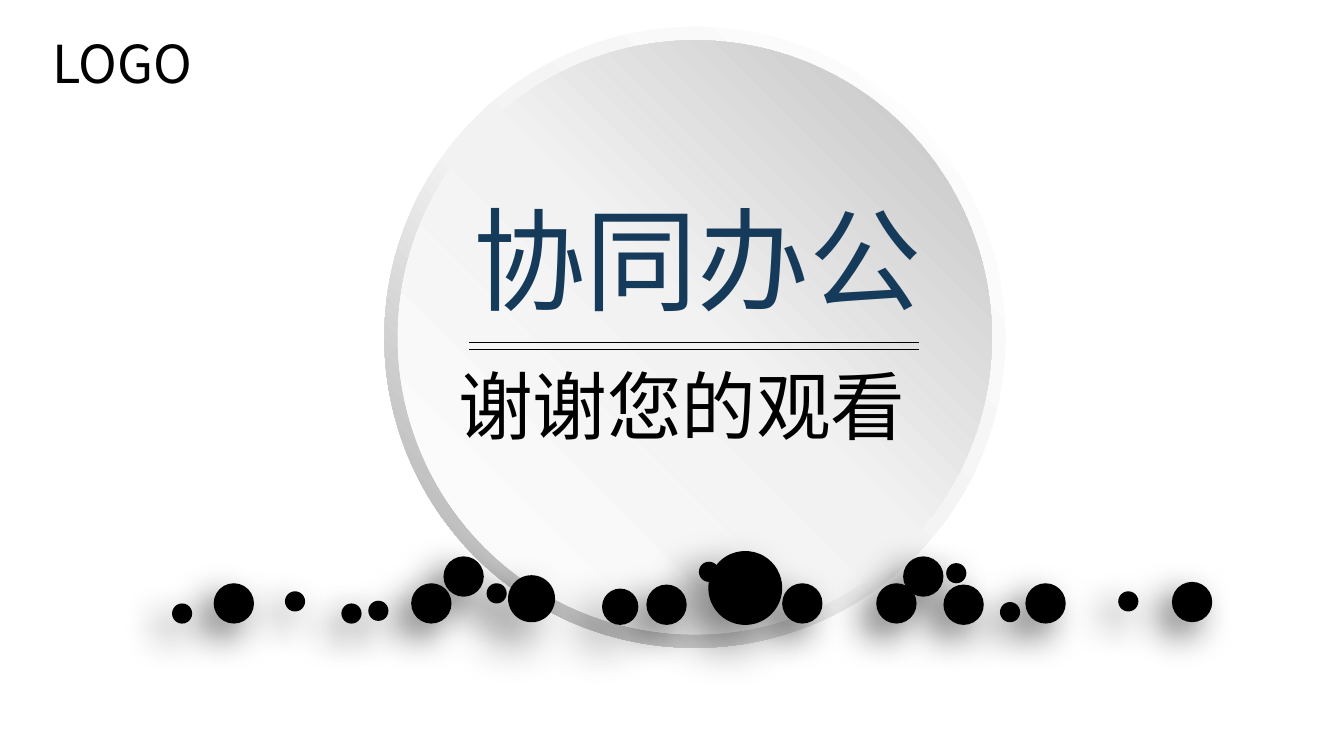
"""Build the closing slide: a title on a shaded disc above a row of black dots."""
from lxml import etree
from pptx import Presentation
from pptx import util as u
from pptx.dml.color import RGBColor
from pptx.enum import shapes, text
from pptx.oxml import parse_xml
from pptx.oxml.ns import nsdecls, qn

FONT = "Noto Sans CJK SC"
BLACK, NAVY = "000000", "163A5A"


def color(value):
    return RGBColor.from_string(value)


def write(box, bounds, words, size, ink):
    box.left, box.top, box.width, box.height = [u.Inches(v) for v in bounds]
    frame = box.text_frame
    frame.word_wrap = False
    frame.margin_right = 0
    frame.auto_size = text.MSO_AUTO_SIZE.SHAPE_TO_FIT_TEXT
    frame.vertical_anchor = text.MSO_ANCHOR.TOP
    para = frame.paragraphs[0]
    para.alignment = text.PP_ALIGN.LEFT
    para.line_spacing = 1.0
    span = para.add_run()
    span.text = words
    span.font.size = u.Pt(size)
    span.font.name = FONT
    span.font.color.rgb = color(ink)
    etree.SubElement(span.font._element, qn("a:ea"), typeface=FONT)


deck = Presentation()
deck.slide_width = u.Inches(10)
deck.slide_height = deck.slide_width * 9 // 16
page = deck.slides.add_slide(deck.slide_layouts[5])
page.background.fill.solid()
page.background.fill.fore_color.rgb = color("FFFFFF")

disc = page.shapes.add_group_shape()
for kind, left, top, size, angle, stops in [
    (shapes.MSO_SHAPE.DONUT, 2.86, 0.2, 4.62, 135, [(0, "FFFFFF"), (55, "F2F2F2"), (100, "A6A6A6")]),
    (shapes.MSO_SHAPE.OVAL, 2.96, 0.3, 4.42, 315, [(0, "FFFFFF"), (51, "F2F2F2"), (100, "BFBFBF")]),
]:
    round_part = disc.shapes.add_shape(kind, u.Inches(left), u.Inches(top), u.Inches(size), u.Inches(size))
    if kind == shapes.MSO_SHAPE.DONUT:
        round_part.adjustments[0] = 0.05
    round_part.shadow.inherit = False
    round_part.line.fill.background()
    marks = "".join(
        f'<a:gs pos="{pos * 1000}"><a:srgbClr val="{shade}"/></a:gs>' for pos, shade in stops
    )
    gradient = parse_xml(
        f'<a:gradFill {nsdecls("a")} rotWithShape="1"><a:gsLst>{marks}</a:gsLst>'
        f'<a:lin ang="{angle * 60000}" scaled="0"/></a:gradFill>'
    )
    round_part._element.spPr.find(qn("a:prstGeom")).addnext(gradient)

write(page.shapes.add_textbox(0, 0, 0, 0), (3.31, 2.63, 3.57, 0.77), "谢谢您的观看", 40, BLACK)

for height in (2.55, 2.6):
    rule = page.shapes.add_connector(
        shapes.MSO_CONNECTOR.STRAIGHT, u.Inches(3.49), u.Inches(height), u.Inches(6.84), u.Inches(height)
    )
    rule.line.color.rgb = color(BLACK)
    rule.line.width = u.Pt(0.75)
    etree.SubElement(rule._element.spPr, qn("a:effectLst"))

title = page.shapes.title
write(title, (3.42, 1.37, 3.53, 1.1), "协同办公", 60, NAVY)
page.shapes._spTree.append(title._element)

dots = [
    (5.27, 4.1, 0.55), (6.52, 4.34, 0.3), (3.06, 4.34, 0.3), (2.74, 4.47, 0.15),
    (7.02, 4.35, 0.3), (3.62, 4.34, 0.15), (7.44, 4.48, 0.15), (4.48, 4.38, 0.27),
    (7.63, 4.34, 0.3), (4.81, 4.35, 0.3), (8.32, 4.4, 0.15), (6.72, 4.14, 0.3),
    (2.54, 4.49, 0.15), (5.2, 4.18, 0.15), (3.78, 4.28, 0.35), (5.82, 4.34, 0.3),
    (1.59, 4.34, 0.3), (1.28, 4.49, 0.15), (3.3, 4.14, 0.3), (2.12, 4.4, 0.15),
    (7.04, 4.19, 0.15), (8.72, 4.33, 0.3),
]
soft_sizes = (0.27, 0.35, 0.55)
for left, top, size in dots:
    dot = page.shapes.add_shape(
        shapes.MSO_SHAPE.OVAL, u.Inches(left), u.Inches(top), u.Inches(size), u.Inches(size)
    )
    dot.fill.solid()
    dot.fill.fore_color.rgb = color(BLACK)
    dot.line.fill.background()
    dot.shadow.inherit = False
    alpha, blur, distance = (50, 25, 15) if size in soft_sizes else (60, 20, 10)
    dot._element.spPr.find(qn("a:effectLst")).append(parse_xml(
        f'<a:outerShdw {nsdecls("a")} blurRad="{u.Pt(blur)}" dist="{u.Pt(distance)}" '
        f'dir="{135 * 60000}" algn="tr" rotWithShape="0"><a:srgbClr val="{BLACK}">'
        f'<a:alpha val="{alpha * 1000}"/></a:srgbClr></a:outerShdw>'
    ))

write(page.shapes.add_textbox(0, 0, 0, 0), (0.29, 0.18, 1.33, 0.57), "LOGO", 28, BLACK)

deck.save("out.pptx")
